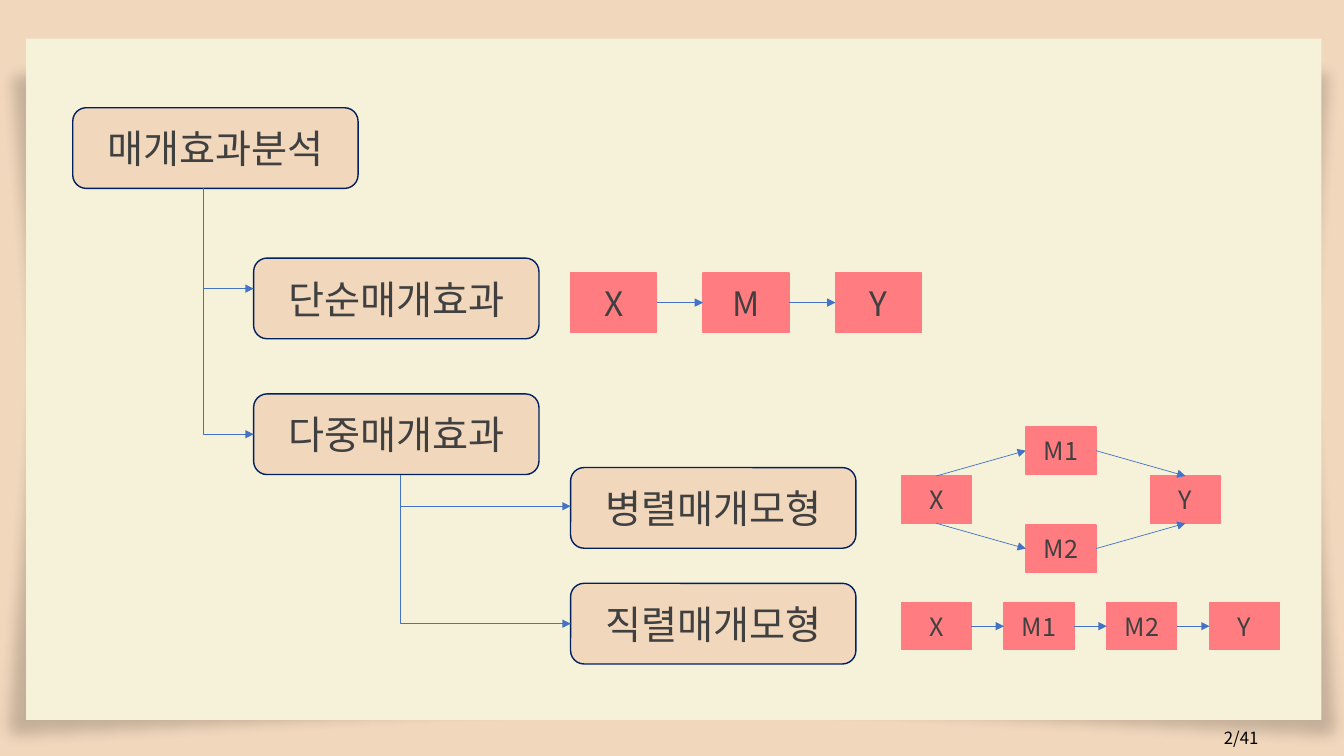
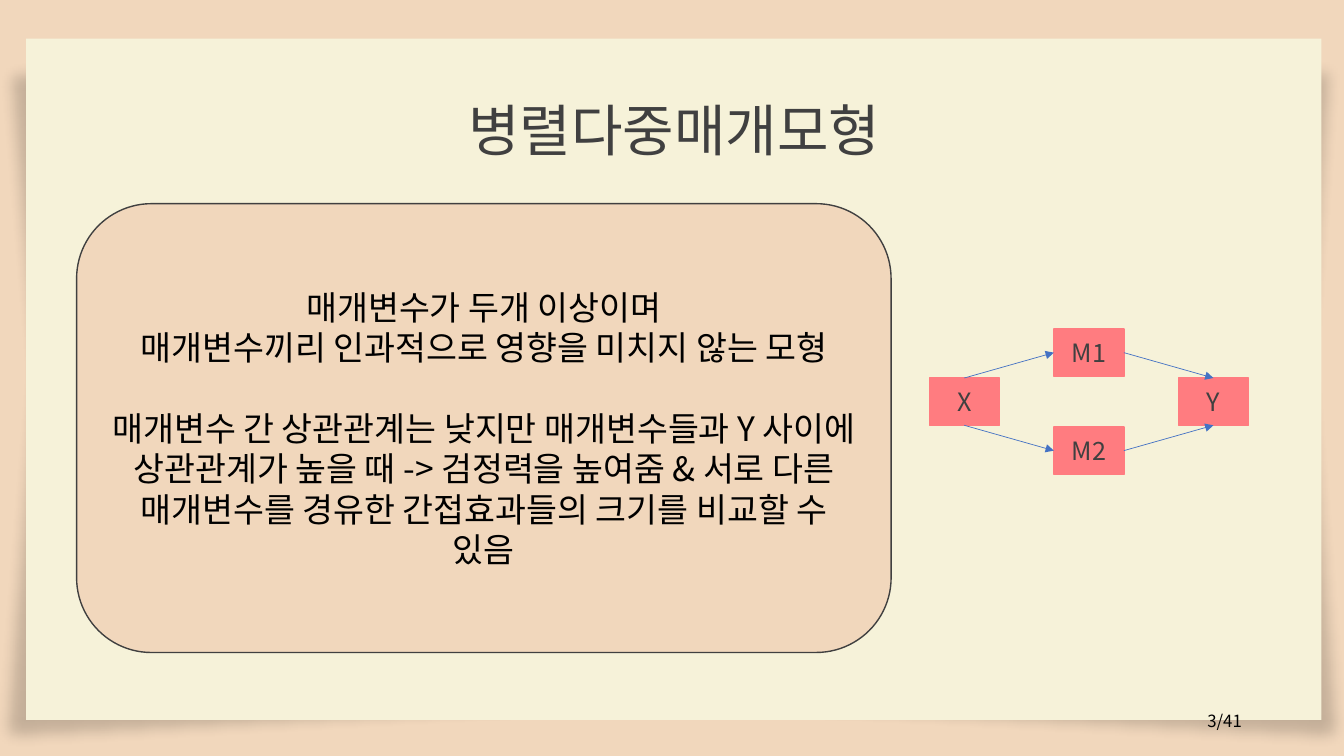
from dataclasses import dataclass

from lxml import etree
from pptx import Presentation
from pptx.dml.color import RGBColor
from pptx.enum.shapes import MSO_CONNECTOR, MSO_SHAPE
from pptx.enum.text import MSO_ANCHOR, PP_ALIGN
from pptx.oxml.ns import qn
from pptx.shapes.autoshape import Shape
from pptx.shapes.connector import Connector
from pptx.slide import Slide
from pptx.text.text import TextFrame
from pptx.util import Pt

FONT = "Noto Sans CJK KR"
PEACH = RGBColor(0xF1, 0xD7, 0xBC)
CREAM = RGBColor(0xF6, 0xF2, 0xD9)
CORAL = RGBColor(0xFF, 0x7C, 0x80)
NAVY = RGBColor(0x00, 0x20, 0x60)
BLUE = RGBColor(0x44, 0x72, 0xC4)
GRAY = RGBColor(0x40, 0x40, 0x40)
BLACK = RGBColor(0x00, 0x00, 0x00)

TOP, LEFT, BOTTOM, RIGHT = range(4)  # connection sites of a rectangle

PAPER_SHADOW = [(33, 43), (23, 44), (-1, 46), (17, 266), (-4, 536),
                (477, 510), (965, 536), (945, 257), (960, 43)]


@dataclass(frozen=True)
class Box:
    left: float
    top: float
    width: float
    height: float

    def lengths(self) -> tuple[Pt, Pt, Pt, Pt]:
        return Pt(self.left), Pt(self.top), Pt(self.width), Pt(self.height)


@dataclass(frozen=True)
class Topic:
    label: str
    left: float
    top: float


@dataclass(frozen=True)
class Branch:
    """An arrow that drops from a topic, then turns right."""
    left: float
    top: float
    right: float
    bottom: float


@dataclass(frozen=True)
class Chain:
    """Variables in a row, each pointing to the next."""
    labels: tuple[str, ...]
    first: Box
    step: float
    size: float


TOPICS = [
    Topic("매개효과분석", 52, 77),
    Topic("단순매개효과", 181.2, 184.4),
    Topic("다중매개효과", 181.2, 281.4),
    Topic("병렬매개모형", 407.6, 334),
    Topic("직렬매개모형", 407.6, 416.7),
]
BRANCHES = [
    Branch(145.4, 134.6, 181.2, 206.2),
    Branch(145.4, 134.6, 181.2, 310.2),
    Branch(286.2, 339, 407.6, 445.5),
]
CHAINS = [
    Chain(("X", "M", "Y"), Box(407.6, 194.9, 61.5, 42.5), 94.6, 24),
    Chain(("X", "M1", "M2", "Y"), Box(643.8, 430.4, 50, 33.8), 73.4, 18),
]


def write(frame: TextFrame, paragraphs: list[str], size: float, color: RGBColor,
          align: PP_ALIGN = PP_ALIGN.CENTER, anchor: MSO_ANCHOR = MSO_ANCHOR.MIDDLE,
          gap: float = 0, line_spacing: float | None = None) -> None:
    frame.word_wrap = True
    frame.vertical_anchor = anchor
    for index, text in enumerate(paragraphs):
        paragraph = frame.add_paragraph() if index else frame.paragraphs[0]
        paragraph.alignment = align
        paragraph.line_spacing = line_spacing
        if gap and index == len(paragraphs) - 1:
            paragraph.space_before = Pt(gap)
        run = paragraph.add_run()
        run.text = text
        run.font.name, run.font.size = FONT, Pt(size)
        run.font.color.rgb = color
        east_asian = etree.SubElement(run.font._element, qn("a:ea"))
        east_asian.set("typeface", FONT)


def paint(shape: Shape, fill: RGBColor, line: RGBColor | None = None) -> None:
    shape.shadow.inherit = False
    shape.fill.solid()
    shape.fill.fore_color.rgb = fill
    if line is None:
        shape.line.fill.background()
    else:
        shape.line.color.rgb = line
        shape.line.width = Pt(1)


def add_panel(slide: Slide, box: Box, paragraphs: list[str], size: float,
              color: RGBColor, line: RGBColor, gap: float = 0) -> None:
    panel = slide.shapes.add_shape(MSO_SHAPE.ROUNDED_RECTANGLE, *box.lengths())
    paint(panel, PEACH, line)
    write(panel.text_frame, paragraphs, size, color, gap=gap)


def add_variable(slide: Slide, label: str, box: Box, size: float) -> Shape:
    variable = slide.shapes.add_shape(MSO_SHAPE.RECTANGLE, *box.lengths())
    paint(variable, CORAL, CORAL)
    write(variable.text_frame, [label], size, GRAY)
    return variable


def add_arrow(slide: Slide, path: Branch, kind: MSO_CONNECTOR) -> Connector:
    arrow = slide.shapes.add_connector(
        kind, Pt(path.left), Pt(path.top), Pt(path.right), Pt(path.bottom))
    arrow.line.color.rgb = BLUE
    arrow.line.width = Pt(0.5)
    properties = arrow._element.spPr
    etree.SubElement(properties.find(qn("a:ln")), qn("a:tailEnd")).set("type", "triangle")
    etree.SubElement(properties, qn("a:effectLst"))
    return arrow


def add_branch(slide: Slide, branch: Branch) -> None:
    elbow = add_arrow(slide, branch, MSO_CONNECTOR.ELBOW)
    adjustments = elbow._element.spPr.find(qn("a:prstGeom")).find(qn("a:avLst"))
    turn = etree.SubElement(adjustments, qn("a:gd"))
    turn.set("name", "adj1")
    turn.set("fmla", "val 0")


def link(slide: Slide, source: Shape, source_site: int,
         target: Shape, target_site: int) -> None:
    arrow = add_arrow(slide, Branch(0, 0, 0, 0), MSO_CONNECTOR.STRAIGHT)
    arrow.begin_connect(source, source_site)
    arrow.end_connect(target, target_site)


def add_chain(slide: Slide, chain: Chain) -> None:
    first = chain.first
    variables = [
        add_variable(slide, label, Box(first.left + index * chain.step, first.top,
                                       first.width, first.height), chain.size)
        for index, label in enumerate(chain.labels)
    ]
    for source, target in zip(variables, variables[1:]):
        link(slide, source, RIGHT, target, LEFT)


def add_parallel_model(slide: Slide, left: float, top: float) -> None:
    """Draw X to Y through M1 and M2, with X at the given corner."""
    across, rise = 89, 35
    x, m1, m2, y = (
        add_variable(slide, label,
                     Box(left + column * across, top + row * rise, 50, 33.8), 18)
        for label, column, row in [("X", 0, 0), ("M1", 1, -1), ("M2", 1, 1), ("Y", 2, 0)]
    )
    for mediator, site in [(m1, TOP), (m2, BOTTOM)]:
        link(slide, x, site, mediator, LEFT)
        link(slide, mediator, RIGHT, y, site)


def add_text(slide: Slide, box: Box, text: str, size: float, color: RGBColor,
             align: PP_ALIGN, anchor: MSO_ANCHOR,
             line_spacing: float | None = None) -> None:
    frame = slide.shapes.add_textbox(*box.lengths()).text_frame
    write(frame, [text], size, color, align, anchor, line_spacing=line_spacing)


def add_page_number(slide: Slide, text: str, left: float, top: float) -> None:
    add_text(slide, Box(left, top, 216, 28.8), text, 12, BLACK,
             PP_ALIGN.RIGHT, MSO_ANCHOR.MIDDLE)


def add_paper_slide(deck: Presentation) -> Slide:
    """Add a blank slide with a sheet of paper and its soft shadow."""
    slide = deck.slides.add_slide(deck.slide_layouts[6])
    sheet = slide.shapes.add_group_shape().shapes
    outline = sheet.build_freeform(Pt(PAPER_SHADOW[0][0]), Pt(PAPER_SHADOW[0][1]))
    outline.add_line_segments([(Pt(x), Pt(y)) for x, y in PAPER_SHADOW[1:]])
    shadow = outline.convert_to_shape()
    paint(shadow, BLACK)
    properties = shadow._element.spPr
    color = properties.find(qn("a:solidFill")).find(qn("a:srgbClr"))
    etree.SubElement(color, qn("a:alpha")).set("val", "19000")
    soft_edge = etree.SubElement(properties.find(qn("a:effectLst")), qn("a:softEdge"))
    soft_edge.set("rad", str(Pt(10)))
    paper = sheet.add_shape(MSO_SHAPE.RECTANGLE, *Box(18.6, 27.7, 925.2, 486.6).lengths())
    paint(paper, CREAM)
    return slide


def build_overview(deck: Presentation) -> None:
    slide = add_paper_slide(deck)
    for topic in TOPICS:
        add_panel(slide, Box(topic.left, topic.top, 203.8, 57.6),
                  [topic.label], 28, GRAY, NAVY)
    for branch in BRANCHES:
        add_branch(slide, branch)
    add_arrow(slide, Branch(286.2, 361.6, 407.6, 361.6), MSO_CONNECTOR.STRAIGHT)
    for chain in CHAINS:
        add_chain(slide, chain)
    add_parallel_model(slide, 643.8, 340)
    add_page_number(slide, "2/41", 690, 512.8)


def build_parallel(deck: Presentation) -> None:
    slide = add_paper_slide(deck)
    add_text(slide, Box(298.8, 16.6, 365.8, 87.1), "병렬다중매개모형", 40, GRAY,
             PP_ALIGN.CENTER, MSO_ANCHOR.TOP, line_spacing=2)
    add_parallel_model(slide, 663.8, 270)
    add_panel(slide, Box(54.7, 145.5, 581.8, 320.6), [
        "매개변수가 두개 이상이며",
        "매개변수끼리 인과적으로 영향을 미치지 않는 모형",
        "매개변수 간 상관관계는 낮지만 매개변수들과 Y 사이에 상관관계가 높을 때 -> "
        "검정력을 높여줌 & 서로 다른 매개변수를 경유한 간접효과들의 크기를 비교할 수 있음",
    ], 24, BLACK, GRAY, gap=28.8)
    add_page_number(slide, "3/41", 678.2, 500.5)


def main() -> None:
    deck = Presentation()
    deck.slide_width, deck.slide_height = Pt(960), Pt(540)
    background = deck.slide_master.background.fill
    background.solid()
    background.fore_color.rgb = PEACH
    build_overview(deck)
    build_parallel(deck)
    deck.save("out.pptx")


if __name__ == "__main__":
    main()
